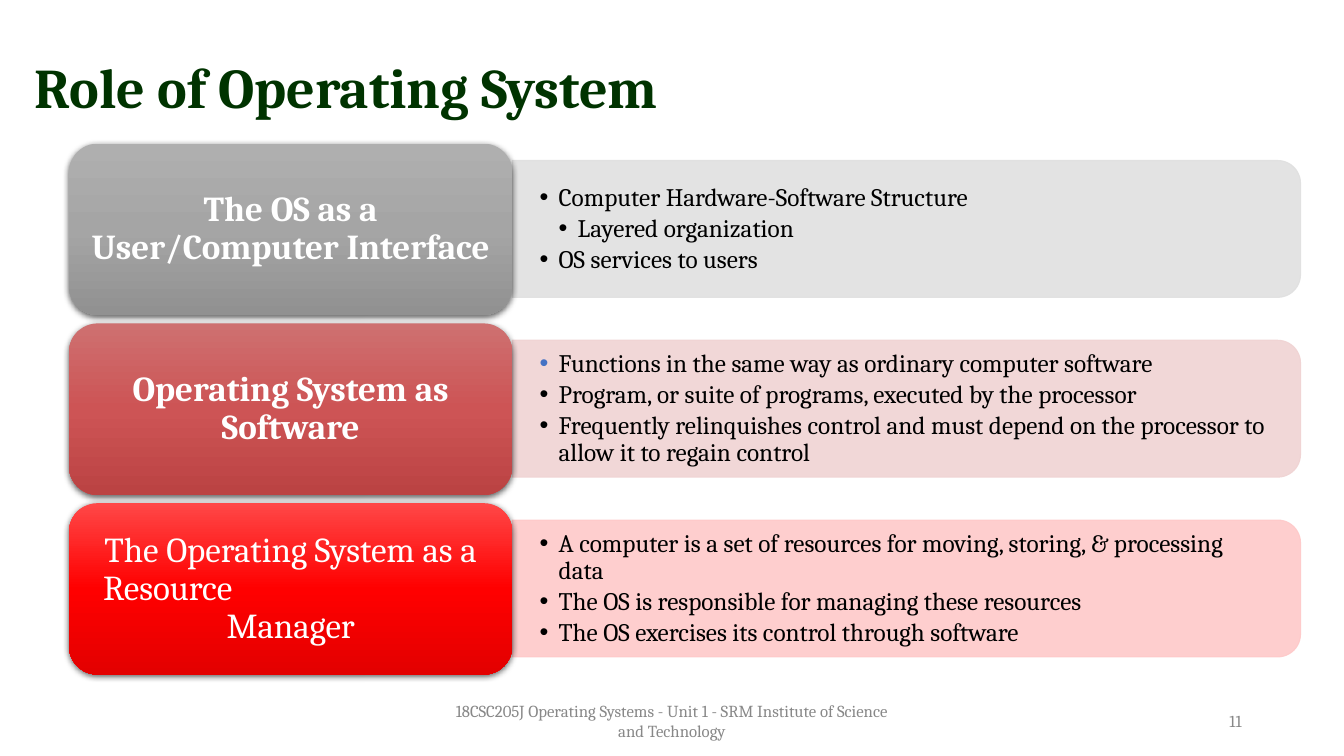
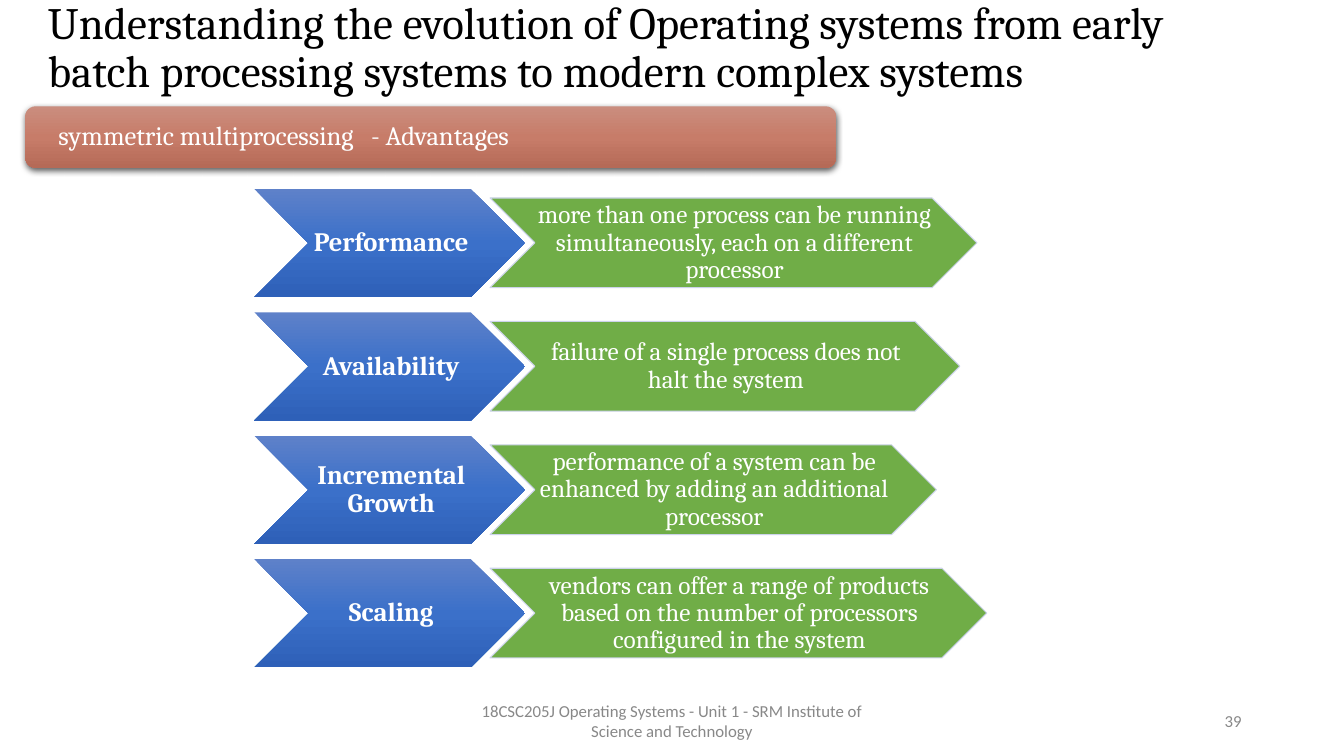
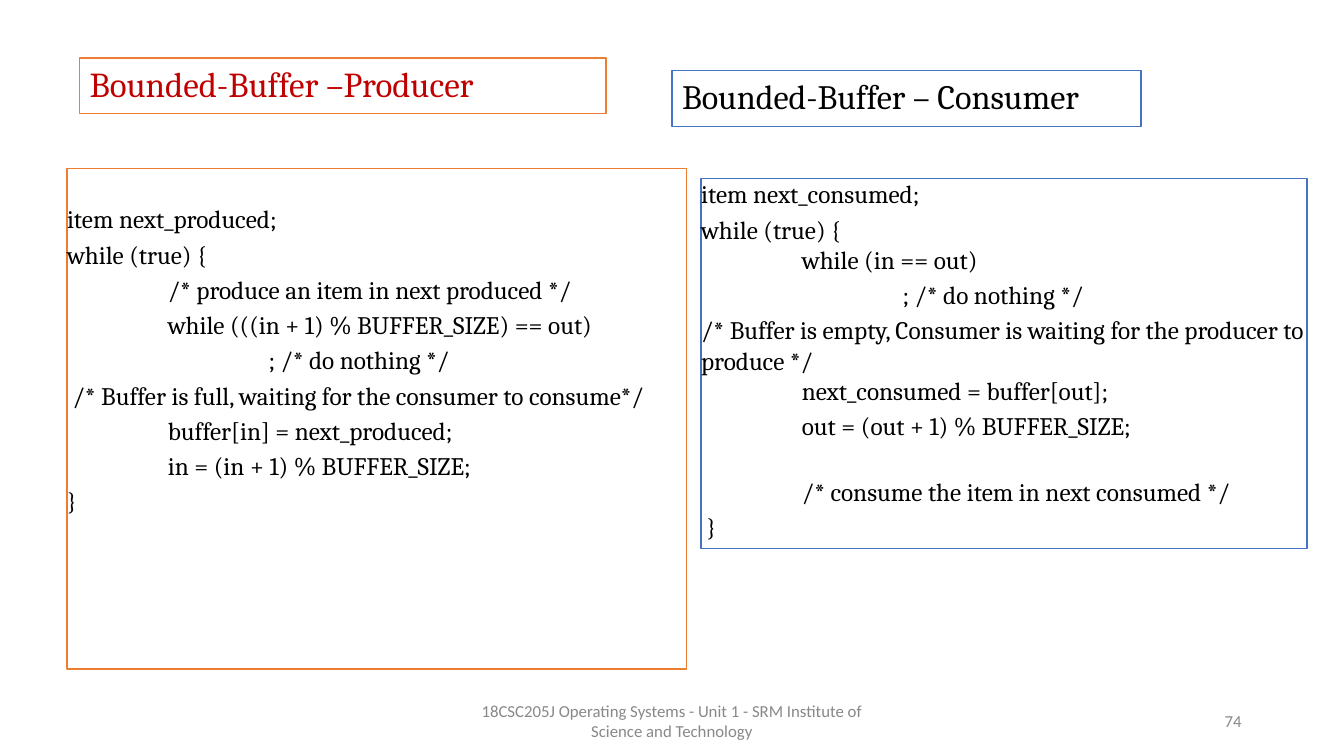
from lxml.etree import SubElement
from pptx import Presentation
from pptx.dml.color import RGBColor
from pptx.enum.shapes import MSO_SHAPE as Kind
from pptx.enum.text import MSO_ANCHOR as Anchor, PP_ALIGN as Align
from pptx.oxml import parse_xml
from pptx.oxml.ns import nsdecls, qn
from pptx.util import Cm, Pt

HUES = {
    "white": "FFFFFF", "black": "000000", "muted": "888888",
    "forest": "003300", "red": "C00000", "blue": "4472C4",
    "orange": "ED7D31", "green": "70AD47", "edge": "CCD3EA",
    "gray bar": "E0E0E0", "rose bar": "F0D3D3", "pink bar": "FEC9C9",
}
FADES = {
    "gray": ("AFAFAF", "A5A5A5", "919191"),
    "rose": ("CE7070", "CD5455", "BB4343"),
    "pink": ("FF4747", "FF0000", "E30000"),
    "clay": ("CA8D7E", "C77C69", "B56A57"),
    "sea": ("5E81C9", "3B70C9", "2E60B8"),
}
FOOT = "18CSC205J Operating Systems - Unit 1 - SRM Institute of Science and Technology"
PAD = (0.25, 0.13, 0.25, 0.13)


def put(page, kind, area, fill=None, edge=None, width=1, cast=False):
    area = [Cm(n) for n in area]
    if kind is None:
        return page.shapes.add_textbox(*area)
    box = page.shapes.add_shape(kind, *area)
    props = box.element.spPr
    if fill in FADES:
        stops = "".join(
            f'<a:gs pos="{i * 50000}"><a:srgbClr val="{hue}"/></a:gs>'
            for i, hue in enumerate(FADES[fill]))
        props.append(parse_xml(
            f'<a:gradFill {nsdecls("a")} rotWithShape="1"><a:gsLst>{stops}</a:gsLst>'
            '<a:lin ang="5400000" scaled="0"/></a:gradFill>'))
    else:
        box.fill.solid()
        box.fill.fore_color.rgb = RGBColor.from_string(HUES[fill])
    if edge:
        box.line.color.rgb = RGBColor.from_string(HUES[edge])
        box.line.width = Pt(width)
    else:
        box.line.fill.background()
    box.shadow.inherit = False
    if cast:
        props.find(qn("a:effectLst")).append(parse_xml(
            f'<a:outerShdw {nsdecls("a")} blurRad="57150" dist="19050" dir="5400000" '
            'algn="ctr" rotWithShape="0"><a:srgbClr val="000000">'
            '<a:alpha val="63000"/></a:srgbClr></a:outerShdw>'))
    return box


def write(box, lines, size, hue, align=Align.LEFT, bold=False, pad=PAD,
          anchor=Anchor.MIDDLE, lead=0.9, gap=0, face="Cambria", tabs=()):
    frame = box.text_frame
    frame.word_wrap = True
    frame.vertical_anchor = anchor
    (frame.margin_left, frame.margin_top,
     frame.margin_right, frame.margin_bottom) = [Cm(n) for n in pad]
    frame.text = "\n".join(lines)
    for i, para in enumerate(frame.paragraphs):
        para.alignment = align
        para.line_spacing = lead
        if i and gap:
            para.space_before = Pt(gap)
        if tabs:
            stops = SubElement(para._p.get_or_add_pPr(), qn("a:tabLst"))
            for place in tabs:
                stop = SubElement(stops, qn("a:tab"))
                stop.set("pos", str(Cm(place)))
                stop.set("algn", "l")
        for run in para.runs:
            run.font.name = face
            run.font.size = Pt(size)
            run.font.bold = bold
            run.font.color.rgb = RGBColor.from_string(HUES[hue])
    return frame.paragraphs


deck = Presentation()
deck.slide_width, deck.slide_height = Cm(33.87), Cm(19.05)
pages = []
for number, face in (("11", "Cambria"), ("39", "Calibri"), ("74", "Calibri")):
    page = deck.slides.add_slide(deck.slide_layouts[6])
    pages.append(page)
    for left, width, text, align in (
            (11.22, 11.43, FOOT, Align.CENTER), (23.92, 7.62, number, Align.RIGHT)):
        note = put(page, None, (left, 17.65, width, 1.02))
        write(note, [text], 12, "muted", align, lead=1, face=face)
roles, gains, buffer = pages

title = put(roles, None, (0.26, 1.19, 16.94, 1.96))
write(title, ["Role of Operating System"], 40, "forest", Align.CENTER, True,
      anchor=Anchor.TOP, lead=1)

cards = [
    ("gray", True, ["The OS as a User/Computer Interface"], [
        (0, "black", "Computer Hardware-Software Structure"),
        (1, "black", "Layered organization"),
        (0, "black", "OS services to users")]),
    ("rose", True, ["Operating System as Software"], [
        (0, "blue", "Functions in the same way as ordinary computer software"),
        (0, "black", "Program, or suite of programs, executed by the processor"),
        (0, "black", "Frequently relinquishes control and must depend on the "
                     "processor to allow it to regain control")]),
    ("pink", False, ["The Operating System as a", "Resource", "Manager"], [
        (0, "black", "A computer is a set of resources for moving, storing, "
                     "& processing data"),
        (0, "black", "The OS is responsible for managing these resources"),
        (0, "black", "The OS exercises its control through software")]),
]
for i, (tone, bold, head, points) in enumerate(cards):
    top = 3.62 + 4.53 * i
    mid = top + 2.15
    bar = put(roles, Kind.ROUND_2_SAME_RECTANGLE, (21.12, mid - 9.93, 3.45, 19.86),
              f"{tone} bar", f"{tone} bar", 0.75)
    bar.rotation = 90
    for tint in bar.element.spPr.iter(qn("a:srgbClr")):
        SubElement(tint, qn("a:alpha")).set("val", "90000")
    body = put(roles, None, (12.91, mid - 1.55, 19.69, 3.1))
    paras = write(body, [text for _, _, text in points], 18, "black",
                  pad=(0.69, 0.36, 0.69, 0.36), gap=2.7)
    for para, (deep, dot, _) in zip(paras, points):
        para.level = deep
        props = para._p.get_or_add_pPr()
        props.set("marL", str(Cm(0.48 * (deep + 1))))
        props.set("indent", str(Cm(-0.48)))
        tint = SubElement(props, qn("a:buClr"))
        SubElement(tint, qn("a:srgbClr")).set("val", HUES[dot])
        SubElement(props, qn("a:buFont")).set("typeface", "Arial")
        SubElement(props, qn("a:buChar")).set("char", "•")
    card = put(roles, Kind.ROUNDED_RECTANGLE, (1.74, top, 11.17, 4.32), tone, cast=True)
    paras = write(card, head, 25, "white", Align.CENTER, bold)
    if len(paras) > 1:
        paras[1].alignment = Align.LEFT
        paras[1]._p.get_or_add_pPr().set("marL", str(Cm(0.4)))

title = put(gains, None, (0.96, 0.2, 29.21, 2.08))
write(title, ["Understanding the evolution of Operating systems from early "
              "batch processing systems to modern complex systems"], 32, "black")
pill = put(gains, Kind.ROUNDED_RECTANGLE, (0.64, 2.68, 20.43, 1.55), "clay", cast=True)
write(pill, ["symmetric multiprocessing\t- Advantages"], 19, "white",
      pad=(0.76, 0, 0.76, 0), tabs=(7.88,))

rows = [
    ("Performance", 12.27, "more than one process can be running simultaneously, "
                           "each on a different processor"),
    ("Availability", 11.84, "failure of a single process does not halt the system"),
    ("Incremental Growth", 11.25, "performance of a system can be enhanced by adding "
                                  "an additional processor"),
    ("Scaling", 12.52, "vendors can offer a range of products based on the number "
                       "of processors configured in the system"),
]
for i, (name, width, text) in enumerate(rows):
    top = 4.76 + 3.11 * i
    tag = put(gains, Kind.CHEVRON, (6.41, top, 6.82, 2.73), "sea")
    write(tag, [name], 19, "white", Align.CENTER, True, (0.08, 0.03, 0, 0.03))
    arrow = put(gains, Kind.CHEVRON, (12.35, top + 0.23, width, 2.26),
                "green", "edge", 0.75)
    write(arrow, [text], 18, "white", Align.CENTER, pad=(0.05, 0.03, 0, 0.03))

heads = [
    ("Bounded-Buffer –Producer", (2.01, 1.46, 13.26, 1.4), "orange", "red", 25),
    ("Bounded-Buffer – Consumer", (16.94, 1.78, 11.82, 1.41), "blue", "black", 24.4),
]
for text, area, edge, hue, size in heads:
    write(put(buffer, Kind.RECTANGLE, area, "white", edge), [text], size, hue)

maker = [
    "item next_produced;",
    "while (true) {",
    "\t/* produce an item in next produced */",
    "\twhile (((in + 1) % BUFFER_SIZE) == out)",
    "\t\t; /* do nothing */",
    " /* Buffer is full, waiting for the consumer to consume*/",
    "\tbuffer[in] = next_produced;",
    "\tin = (in + 1) % BUFFER_SIZE;",
    "}",
]
taker = [
    "item next_consumed;",
    "while (true) {\v\twhile (in == out)",
    "\t\t; /* do nothing */",
    "/* Buffer is empty, Consumer is waiting for the producer to produce */"
    "\v\tnext_consumed = buffer[out];",
    "\tout = (out + 1) % BUFFER_SIZE;",
    "\t/* consume the item in next consumed */",
    " }",
]
codes = [
    (maker, (1.69, 4.24, 15.62, 12.62), "orange", 0.89),
    (taker, (17.67, 4.5, 15.27, 9.32), "blue", 0),
]
for lines, area, edge, inset in codes:
    box = put(buffer, Kind.RECTANGLE, area, "white", edge)
    paras = write(box, lines, 18, "black", pad=(0, inset, 0, 0),
                  anchor=Anchor.TOP, lead=1, gap=3.6, tabs=(2.54, 5.08))
paras[5].space_before = Pt(25.5)

deck.save("out.pptx")
